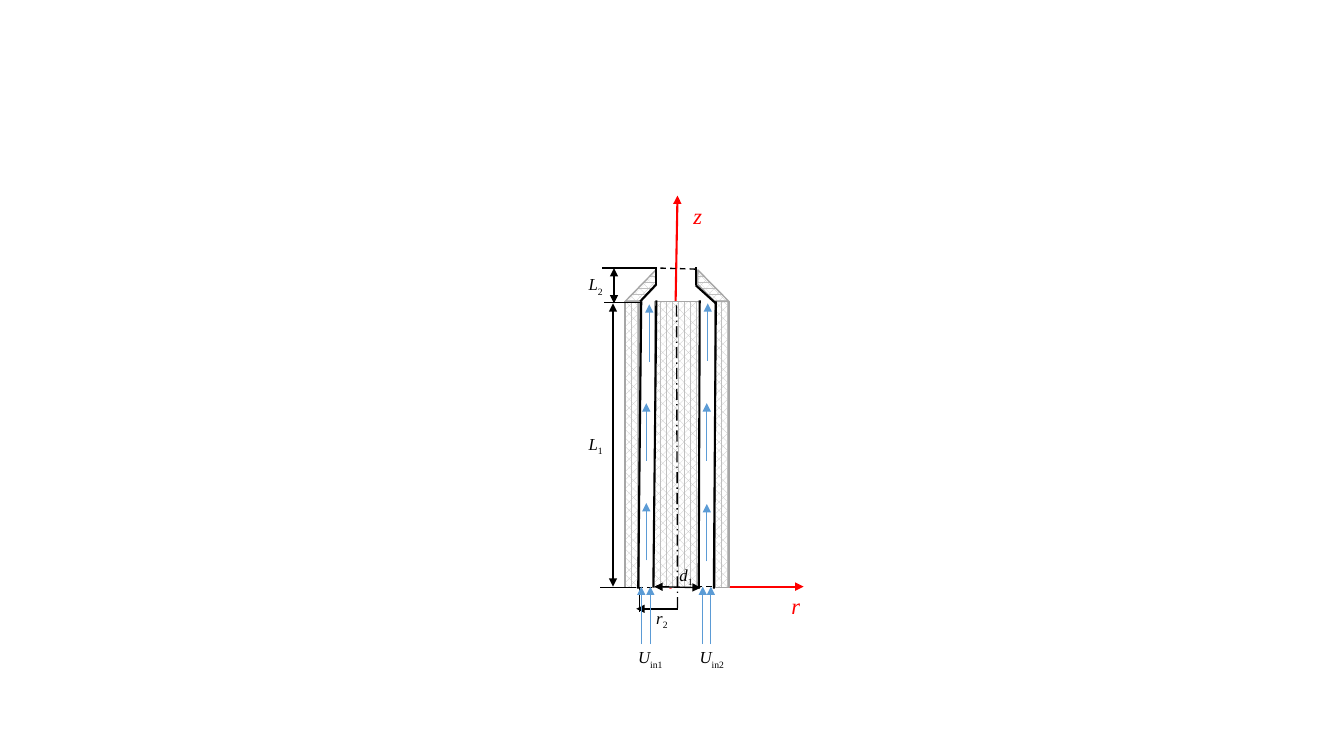
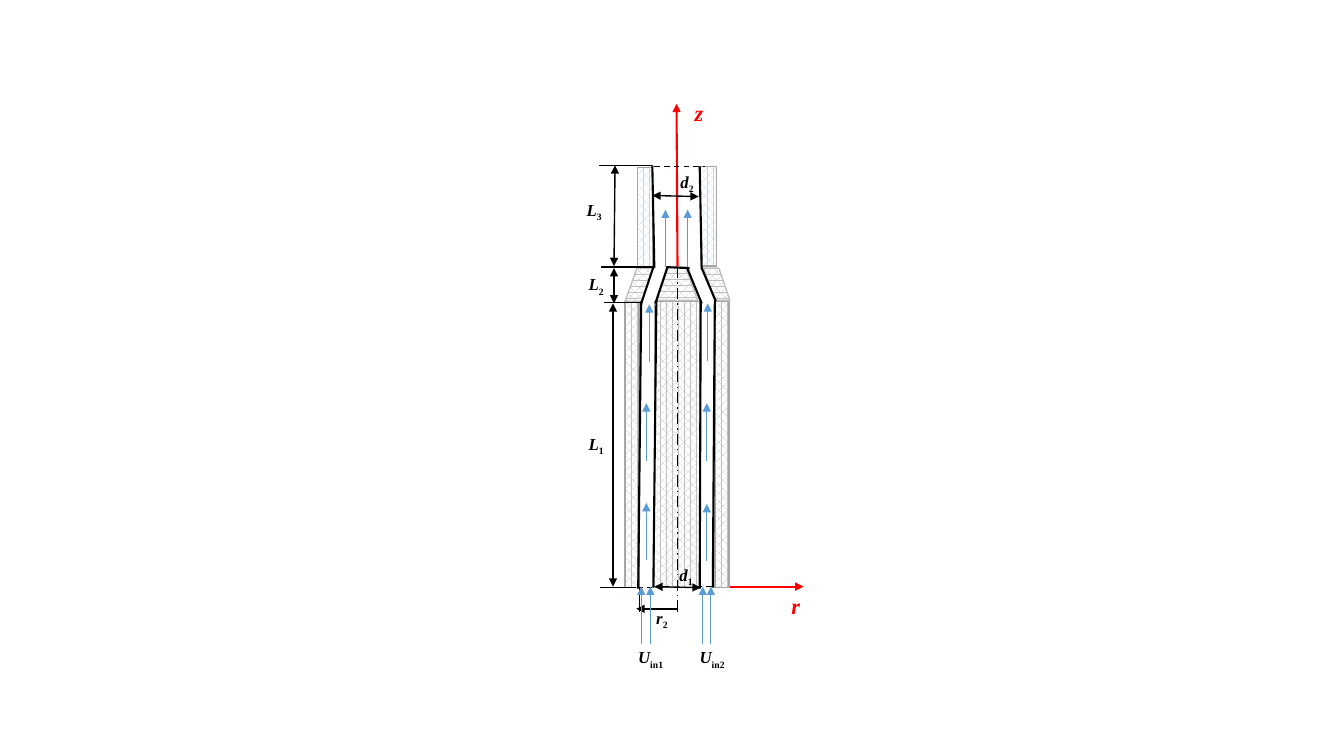
from lxml import etree
from pptx import Presentation
from pptx import util as u
from pptx.dml.color import RGBColor
from pptx.enum import dml, shapes, text
from pptx.oxml.ns import qn

BLACK = RGBColor(0x00, 0x00, 0x00)
RED = RGBColor(0xFF, 0x00, 0x00)
BLUE = RGBColor(0x5B, 0x9B, 0xD5)
PALE_BLUE = RGBColor(0xBD, 0xD7, 0xEE)
WHITE = RGBColor(0xFF, 0xFF, 0xFF)
LIGHT_GREY = RGBColor(0xBF, 0xBF, 0xBF)
MID_GREY = RGBColor(0xA6, 0xA6, 0xA6)

# Line styles: colour, width in points, dash, arrowheads
DASH = dml.MSO_LINE.DASH
AXIS = (RED, 1.5, None, ["tailEnd"])
WALL = (BLACK, 1.5, None, [])
GUIDE = (BLACK, 1, None, [])
OPENING = (BLACK, 1, DASH, [])
CENTRE = (BLACK, 1, dml.MSO_LINE.LONG_DASH_DOT, [])
FLOW = (BLUE, 0.5, None, ["tailEnd"])
RADIUS = (BLACK, 1, None, ["tailEnd"])
DIMENSION = (BLACK, 1, None, ["headEnd", "tailEnd"])

RECTANGLE = shapes.MSO_SHAPE.RECTANGLE
TRAPEZOID = shapes.MSO_SHAPE.TRAPEZOID
PARALLELOGRAM = shapes.MSO_SHAPE.PARALLELOGRAM
BASE = 5.83
FLOW_LENGTH = 0.57

# Parts on both slides
# Solids: preset, box, adjustment, rotation, flipped, pattern colour, outline
shared_solids = [
    (RECTANGLE, (left, 2.99, width, 2.84), None, 0, False, LIGHT_GREY, MID_GREY)
    for left, width in [(6.49, 0.45), (6.2, 0.14), (7.09, 0.14)]
]
# Lines: x and y of start, x and y of end
shared_lines = [
    (WALL, [(6.33, 5.84, 6.36, 2.99), (6.48, BASE, 6.51, 2.98)]),
    (OPENING, [(6.32, BASE, 6.49, BASE), (6.91, 5.82, 7.09, 5.82)]),
    (GUIDE, [(6.34, BASE, 6.34, 6.07), (6.31, BASE, 5.95, BASE),
             (6.35, 3, 5.99, 3)]),
    (DIMENSION, [(6.49, 5.82, 6.95, BASE), (6.08, 3.01, 6.08, 5.82),
                 (6.09, 3.01, 6.09, 2.66)]),
    (RADIUS, [(6.72, 6.04, 6.31, 6.04)]),
]
# Flow arrows: x and y of the tip
shared_flows = [(x, 5.82) for x in (6.36, 6.45, 6.97, 7.05)] + [
    (6.41, 4.99), (6.41, 4), (6.44, 3.02), (7.01, 5), (7.01, 4), (7.02, 3.01)]
# Labels: symbol, subscript, left, top, width
shared_labels = [
    ("U", "in1", 6.23, 6.37, 0.49), ("U", "in2", 6.84, 6.37, 0.49),
    ("d", "1", 6.64, 5.55, 0.49), ("r", "2", 6.41, 5.98, 0.49),
    ("L", "1", 5.74, 4.25, 0.36), ("L", "2", 5.74, 2.67, 0.36),
    ("r", "", 7.75, 5.83, 0.3),
]

# Parts of each nozzle
converging_nozzle = {
    "bold": False,
    "axis": (6.65, 5.84, 6.72, 1.94),
    "solids": [
        (TRAPEZOID, (6.17, 2.82, 0.44, 0.11), 1.0, 134.3, False,
         LIGHT_GREY, MID_GREY),
        (TRAPEZOID, (6.82, 2.82, 0.44, 0.1), 1.0, 225.4, False,
         LIGHT_GREY, MID_GREY),
    ],
    "lines": [
        (WALL, [(6.93, 5.84, 6.94, 2.98), (7.08, 5.84, 7.1, 2.99),
                (6.35, 2.99, 6.51, 2.82), (6.9, 2.83, 7.1, 3.01),
                (6.51, 2.83, 6.51, 2.65), (6.9, 2.83, 6.9, 2.65)]),
        (OPENING, [(6.55, 2.66, 6.9, 2.67)]),
        (CENTRE, [(6.71, 3.03, 6.72, 6.07)]),
        (GUIDE, [(6.5, 2.66, 5.97, 2.66)]),
    ],
    "flows": [],
    "labels": [("z", "", 6.78, 1.96, 0.3)],
}
extended_nozzle = {
    "bold": True,
    "axis": (6.72, 2.65, 6.71, 1.03),
    "solids": [
        (TRAPEZOID, (6.51, 2.65, 0.41, 0.33), 0.36, 0, False,
         LIGHT_GREY, LIGHT_GREY),
        (PARALLELOGRAM, (6.2, 2.66, 0.28, 0.33), 0.42, 0, False,
         LIGHT_GREY, LIGHT_GREY),
        (PARALLELOGRAM, (6.98, 2.66, 0.26, 0.32), 0.42, 0, True,
         LIGHT_GREY, LIGHT_GREY),
        (RECTANGLE, (6.32, 1.66, 0.15, 0.99), None, 0, False,
         PALE_BLUE, MID_GREY),
        (RECTANGLE, (6.95, 1.65, 0.16, 0.99), None, 0, False,
         PALE_BLUE, MID_GREY),
    ],
    "lines": [
        (WALL, [(6.94, 5.84, 6.95, 2.98), (7.07, BASE, 7.09, 2.98),
                (6.61, 2.65, 6.84, 2.66), (6.36, 3.01, 6.48, 2.65),
                (6.96, 2.66, 7.1, 2.99), (6.49, 2.66, 6.47, 1.64),
                (6.96, 2.67, 6.94, 1.65), (6.82, 2.67, 6.96, 3.01),
                (6.5, 3.01, 6.62, 2.65)]),
        (OPENING, [(6.49, 1.65, 6.99, 1.65)]),
        (CENTRE, [(6.72, 2.65, 6.72, 6.07)]),
        (GUIDE, [(6.47, 1.64, 5.94, 1.64), (6.49, 2.65, 5.96, 2.65)]),
        (DIMENSION, [(6.1, 1.64, 6.09, 2.64), (6.47, 1.94, 6.93, 1.95)]),
    ],
    "flows": [(6.6, 2.08), (6.82, 2.08)],
    "labels": [("z", "", 6.79, 0.93, 0.3), ("L", "3", 5.72, 1.93, 0.36),
               ("d", "2", 6.65, 1.65, 0.49)],
}


def draw_line(slide, ends, style):
    colour, width, dash, arrowheads = style
    connector = slide.shapes.add_connector(
        shapes.MSO_CONNECTOR.STRAIGHT, *[u.Inches(value) for value in ends])
    connector.line.color.rgb = colour
    connector.line.width = u.Pt(width)
    if dash:
        connector.line.dash_style = dash
    for arrowhead in arrowheads:
        etree.SubElement(connector.get_or_add_ln(), qn("a:" + arrowhead),
                         type="triangle")
    etree.SubElement(connector.element.spPr, qn("a:effectLst"))


def add_label(slide, label, bold):
    symbol, subscript, left, top, width = label
    is_axis = not subscript
    box = slide.shapes.add_textbox(
        *[u.Inches(value) for value in (left, top, width, 0.37 if is_axis else 0.3)])
    box.text_frame.word_wrap = True
    box.text_frame.auto_size = text.MSO_AUTO_SIZE.SHAPE_TO_FIT_TEXT
    paragraph = box.text_frame.paragraphs[0]
    for words, italic in [(symbol, True), (subscript, False)]:
        if not words:
            continue
        run = paragraph.add_run()
        run.text = words
        font_format = {"name": "Times New Roman", "size": u.Pt(16 if is_axis else 12),
                       "bold": bold, "italic": italic}
        for name, value in font_format.items():
            setattr(run.font, name, value)
        run.font.color.rgb = RED if is_axis else BLACK
        if not italic:
            run.font._element.set("baseline", "-25000")


presentation = Presentation()
presentation.slide_width = u.Inches(13.33)
presentation.slide_height = u.Inches(7.5)

for nozzle in (converging_nozzle, extended_nozzle):
    slide = presentation.slides.add_slide(presentation.slide_layouts[6])

    # Axes lie behind the solids
    for ends in (nozzle["axis"], (7.23, 5.82, 7.97, 5.82)):
        draw_line(slide, ends, AXIS)

    # Hatched solids
    for preset, box, adjustment, rotation, flipped, pattern, outline in (
            shared_solids + nozzle["solids"]):
        shape = slide.shapes.add_shape(preset, *[u.Inches(value) for value in box])
        shape.shadow.inherit = False
        shape.rotation = rotation
        if adjustment is not None:
            shape.adjustments[0] = adjustment
        if flipped:
            shape.element.spPr.xfrm.set("flipH", "1")
        shape.fill.patterned()
        shape.fill.pattern = dml.MSO_PATTERN.PERCENT_60
        shape.fill.fore_color.rgb = pattern
        shape.fill.back_color.rgb = WHITE
        shape.line.color.rgb = outline
        shape.line.width = u.Pt(1)

    # Walls, openings and dimensions
    for style, lines in shared_lines + nozzle["lines"]:
        for ends in lines:
            draw_line(slide, ends, style)

    # Flow arrows
    for x, tip in shared_flows + nozzle["flows"]:
        draw_line(slide, (x, tip + FLOW_LENGTH, x, tip), FLOW)

    # Labels
    for label in shared_labels + nozzle["labels"]:
        add_label(slide, label, nozzle["bold"])

presentation.save("out.pptx")
